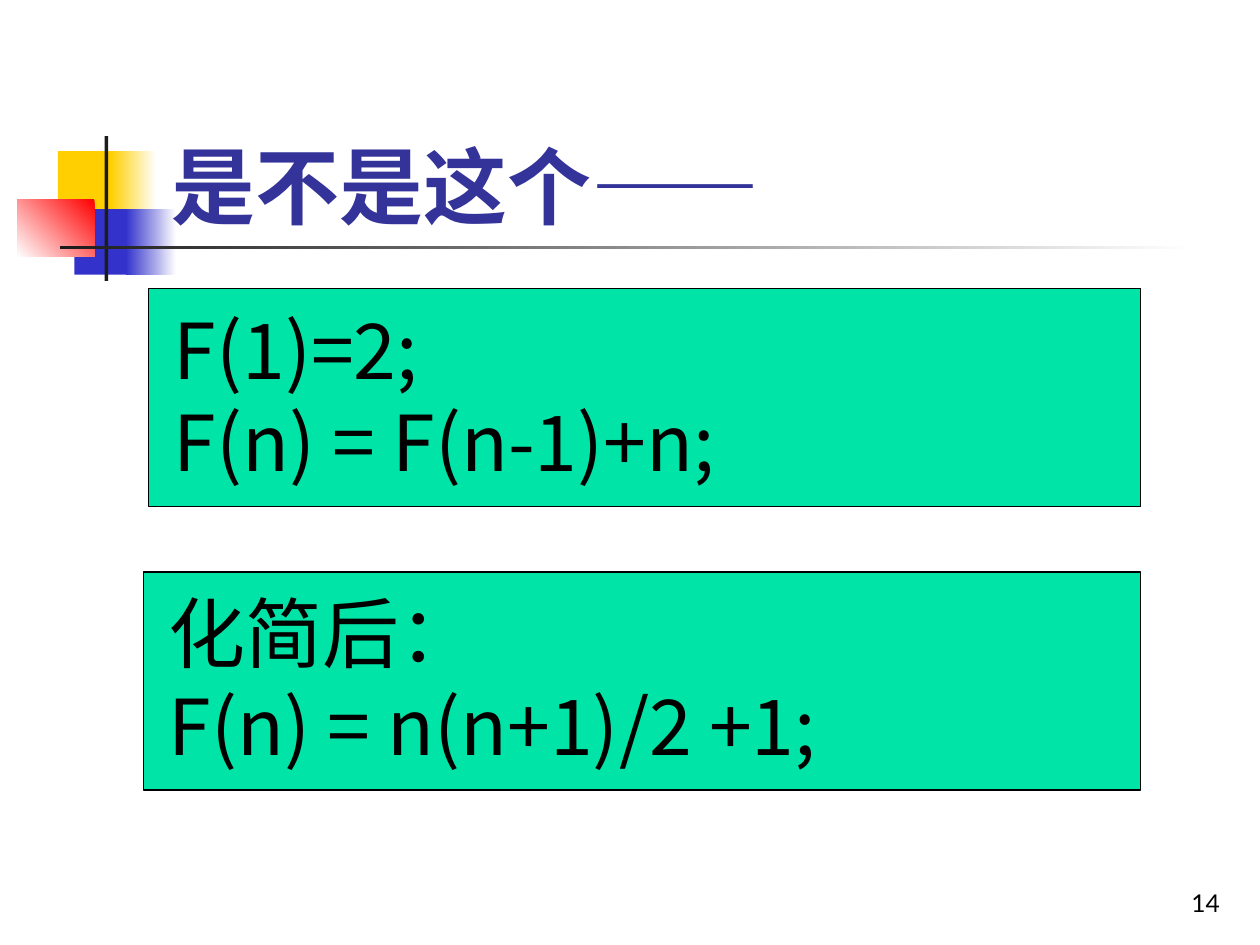
import pptx
import pptx.util
import pptx.dml.color
import pptx.enum.shapes
import pptx.enum.text
import pptx.oxml
from pptx.util import Inches
from dataclasses import dataclass


@dataclass(frozen=True)
class Theme:
    gold: str = "FFCF01"
    blue: str = "3333CC"
    red: str = "FF0000"
    dark: str = "1C1C1C"
    white: str = "FFFFFF"
    black: str = "000000"
    navy: str = "333399"
    mint: str = "00E4A8"
    sans: str = "Lato"
    cjk: str = "Noto Sans CJK SC"
    title: int = 48
    body: int = 44
    small: int = 14
    pitch: float = 52.8


theme = Theme()
rgb = pptx.dml.color.RGBColor.from_string
anchor = pptx.enum.text.MSO_ANCHOR
align = pptx.enum.text.PP_ALIGN

deck = pptx.Presentation()
deck.slide_width, deck.slide_height = Inches(10), Inches(7.5)
slide = deck.slides.add_slide(deck.slide_layouts[6])


def add_rect(box, *tones, angle=180):
    """Add a rectangle; two tones make a gradient."""
    rect = slide.shapes.add_shape(
        pptx.enum.shapes.MSO_SHAPE.RECTANGLE, *map(Inches, box))
    rect.shadow.inherit = False
    rect.line.fill.background()
    if len(tones) == 1:
        rect.fill.solid()
        rect.fill.fore_color.rgb = rgb(tones[0])
    else:
        rect.fill.gradient()
        rect.fill.gradient_angle = angle
        for stop, tone in zip(rect.fill.gradient_stops, tones):
            stop.color.rgb = rgb(tone)
    return rect


def add_run(para, text, size, face, tone, bold=False):
    run = para.add_run()
    run.text = text
    font = run.font
    font.size, font.name, font.bold = pptx.util.Pt(size), face, bold
    font.color.rgb = rgb(tone)
    east = pptx.oxml.parse_xml(
        '<a:ea xmlns:a="http://schemas.openxmlformats.org/drawingml/2006/main"'
        f' typeface="{theme.cjk}"/>')
    font._element.find(pptx.oxml.ns.qn("a:latin")).addnext(east)


# Corner blocks and rules
add_rect((0.46, 1.2, 0.48, 0.52), theme.gold)
add_rect((0.88, 1.2, 0.36, 0.52), theme.white, theme.gold)
add_rect((0.59, 1.66, 0.46, 0.52), theme.blue)
add_rect((1, 1.66, 0.4, 0.52), theme.white, theme.blue)
add_rect((0.14, 1.58, 0.61, 0.46), theme.red, theme.white, angle=225)
add_rect((0.83, 1.08, 0.03, 1.15), theme.dark)
add_rect((0.48, 1.95, 9, 0.03), theme.white, theme.dark)

# Title and page number
labels = [
    ((1.26, 0.84, 8.52, 1.08), "是不是这个——", theme.title, theme.navy, True, align.LEFT),
    ((7.7, 6.83, 2.08, 0.5), "14", theme.small, theme.black, False, align.RIGHT),
]
for box, text, size, tone, bold, side in labels:
    frame = slide.shapes.add_textbox(*map(Inches, box)).text_frame
    frame.word_wrap = True
    frame.vertical_anchor = anchor.BOTTOM
    para = frame.paragraphs[0]
    para.alignment = side
    add_run(para, text, size, theme.sans, tone, bold)

# Formula panels
panels = [
    ((1.18, 2.29, 7.87, 1.73), ["F(1)=2;", "F(n) = F(n-1)+n;"]),
    ((1.14, 4.54, 7.91, 1.73), ["化简后：", "F(n) = n(n+1)/2 +1;"]),
]
for box, lines in panels:
    panel = add_rect(box, theme.mint)
    panel.line.color.rgb = rgb(theme.black)
    panel.line.width = pptx.util.Pt(0.75)
    frame = panel.text_frame
    frame.word_wrap = True
    frame.vertical_anchor = anchor.TOP
    frame.margin_left = frame.margin_right = Inches(0.2)
    frame.margin_top = Inches(0.11)
    for i, text in enumerate(lines):
        para = frame.add_paragraph() if i else frame.paragraphs[0]
        para.alignment = align.LEFT
        para.line_spacing = pptx.util.Pt(theme.pitch)
        props = para._p.get_or_add_pPr()
        props.set("marL", str(Inches(0.38)))
        props.set("indent", str(Inches(-0.38)))
        add_run(para, text, theme.body, theme.cjk, theme.black)

deck.save("out.pptx")
